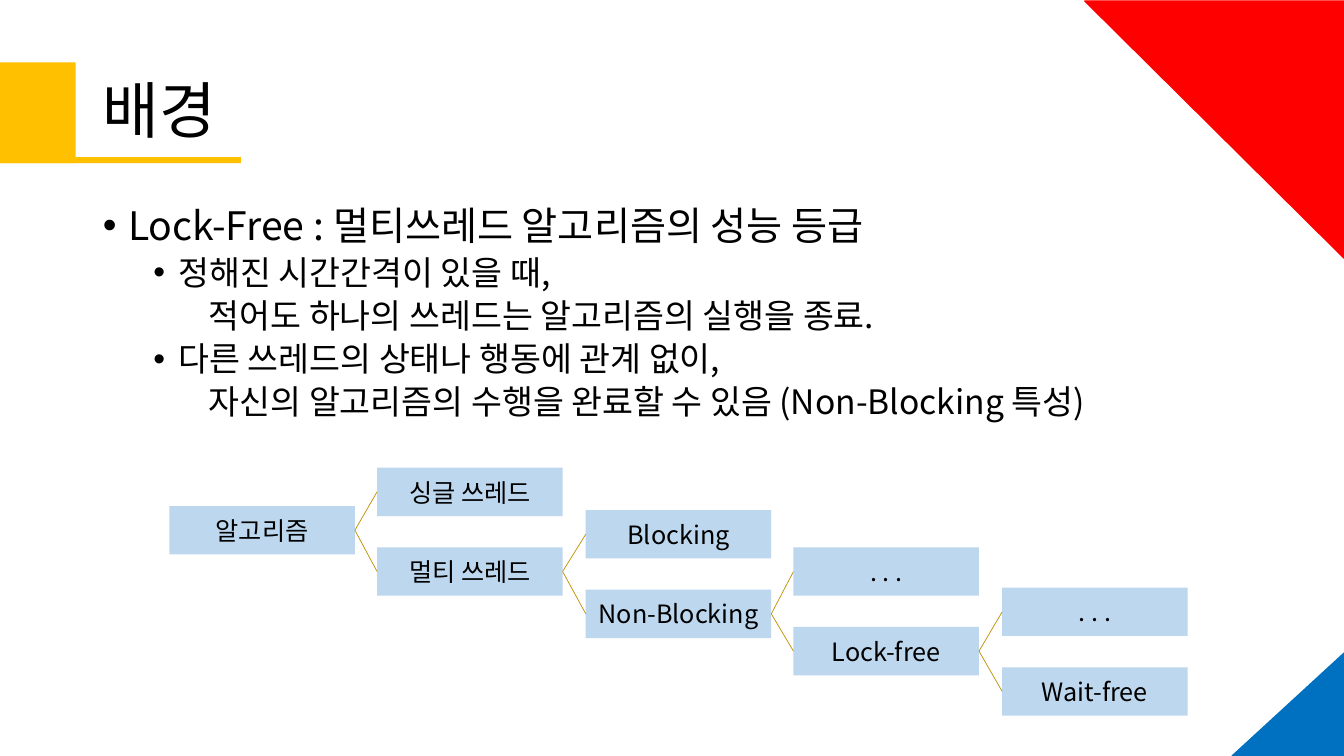
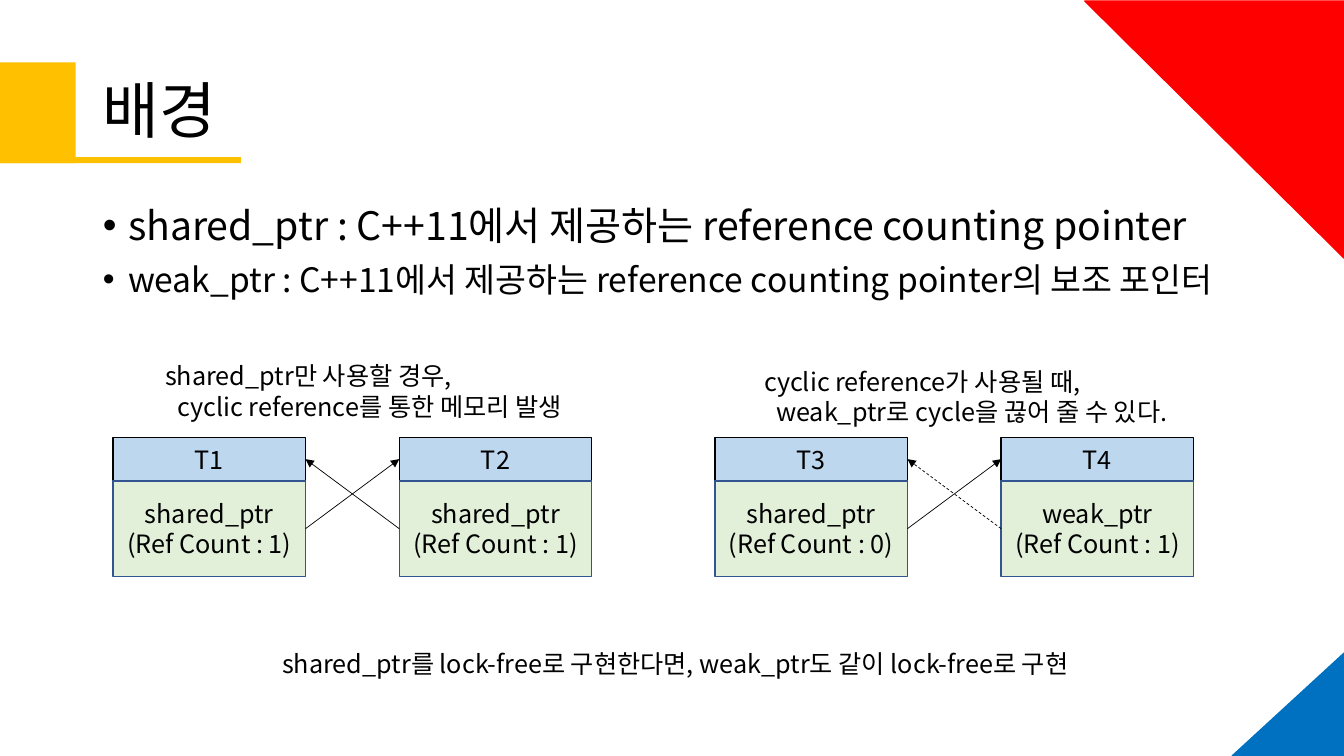
from pptx import Presentation
from pptx.dml.color import RGBColor
from pptx.enum.dml import MSO_LINE
from pptx.enum.shapes import MSO_CONNECTOR, MSO_SHAPE
from pptx.enum.text import MSO_ANCHOR, MSO_AUTO_SIZE, PP_ALIGN
from pptx.oxml.ns import qn
from pptx.util import Pt
from lxml.etree import SubElement

PX = 9144  # EMU per px, 100 px to the inch
FONT = "Noto Sans CJK KR"
BLACK = RGBColor(0x00, 0x00, 0x00)
GOLD = RGBColor(0xFF, 0xC0, 0x00)
BROWN = RGBColor(0xBF, 0x90, 0x00)
RED = RGBColor(0xFF, 0x00, 0x00)
BLUE = RGBColor(0x00, 0x70, 0xC0)
SKY = RGBColor(0xBD, 0xD7, 0xEE)
MINT = RGBColor(0xE2, 0xF0, 0xD9)
NAVY = RGBColor(0x32, 0x54, 0x91)
LEFT, RIGHT = 1, 3  # connection sites of a rectangle


def scale(*lengths):
    return [length * PX for length in lengths]


def style(par, size, align=PP_ALIGN.LEFT):
    par.alignment = align
    for run in par.runs:
        run.font.size = Pt(size)
        run.font.color.rgb = BLACK
        run.font.name = FONT
        SubElement(run.font._element, qn("a:ea")).set("typeface", FONT)


def indent(par, left, hang=0):
    """Set the left edge in px; a hanging indent also gets a bullet."""
    props = par._p.get_or_add_pPr()
    props.set("marL", str(left * PX))
    props.set("indent", str(-hang * PX))
    if hang:
        SubElement(props, qn("a:buChar")).set("char", "•")
    else:
        SubElement(props, qn("a:buNone"))


def place(holder, box):
    holder.left, holder.top, holder.width, holder.height = scale(*box)
    holder.text_frame.auto_size = MSO_AUTO_SIZE.NONE
    return holder.text_frame


def draw(slide, kind, box, fill, line=None):
    shape = slide.shapes.add_shape(kind, *scale(*box))
    shape.shadow.inherit = False
    shape.fill.solid()
    shape.fill.fore_color.rgb = fill
    if line is None:
        shape.line.fill.background()
    else:
        shape.line.color.rgb = line
        shape.line.width = Pt(1)
    return shape


def label(slide, box, text, fill, line=None):
    shape = draw(slide, MSO_SHAPE.RECTANGLE, box, fill, line)
    frame = shape.text_frame
    frame.word_wrap = True
    frame.vertical_anchor = MSO_ANCHOR.MIDDLE
    frame.text = text
    for par in frame.paragraphs:
        style(par, 18, PP_ALIGN.CENTER)
    return shape


def link(slide, start, end, color, arrow=False, dash=False):
    """Join the right side of one box to the left of the next, or back."""
    ahead = start.left < end.left
    line = slide.shapes.add_connector(MSO_CONNECTOR.STRAIGHT, 0, 0, 0, 0)
    line.begin_connect(start, RIGHT if ahead else LEFT)
    line.end_connect(end, LEFT if ahead else RIGHT)
    line.line.color.rgb = color
    line.line.width = Pt(0.5)
    if dash:
        line.line.dash_style = MSO_LINE.DASH
    if arrow:
        SubElement(line.line._ln, qn("a:tailEnd")).set("type", "triangle")
    SubElement(line._element.spPr, qn("a:effectLst"))


def decor(slide):
    for box in ((0, 62, 75, 100), (0, 156, 239, 6)):
        draw(slide, MSO_SHAPE.RECTANGLE, box, GOLD)
    for box, color, turn in (((1222, 648, 111, 102), BLUE, 0),
                             ((1077, 0, 255, 257), RED, 270)):
        corner = draw(slide, MSO_SHAPE.ISOSCELES_TRIANGLE, box, color, color)
        corner.adjustments[0] = 1
        corner.rotation = turn


def page(deck, title, items, width):
    """Add a slide; items hold text, size, left, hang and space before."""
    slide = deck.slides.add_slide(deck.slide_layouts[1])
    frame = place(slide.shapes.title, (92, 40, 1150, 145))
    frame.vertical_anchor = MSO_ANCHOR.MIDDLE
    frame.text = title
    frame.paragraphs[0].line_spacing = 0.9
    style(frame.paragraphs[0], 44)
    frame = place(slide.placeholders[1], (92, 200, width, 476))
    frame.text = "\n".join(item[0] for item in items)
    for par, (_, size, left, hang, space) in zip(frame.paragraphs, items):
        par.level = 1 if left > 25 else 0
        par.line_spacing = 0.9
        par.space_before = Pt(space)
        indent(par, left, hang)
        style(par, size)
    decor(slide)
    return slide


def tree(slide, left, top, root, pairs):
    """Grow each pair of boxes from the lower box of the pair before."""
    wide, high, drop = 184, 48, 79
    stem = label(slide, (left, top, wide, high), root, SKY)
    for col, (shift, *names) in enumerate(pairs, 1):
        x = left + 413 * col // 2
        for row, name in enumerate(names):
            box = (x, top + shift + row * drop, wide, high)
            node = label(slide, box, name, SKY)
            link(slide, stem, node, BROWN)
        stem = node


def cycle(slide, left, top, nodes, dash):
    """Draw two objects, each pointing at the head of the other."""
    heads, bodies = [], []
    for col, (head, body) in enumerate(nodes):
        x = left + 284 * col
        heads.append(label(slide, (x, top, 191, 43), head, SKY, BLACK))
        bodies.append(label(slide, (x, top + 43, 191, 95), body, MINT, NAVY))
    link(slide, bodies[0], heads[1], BLACK, arrow=True)
    link(slide, bodies[1], heads[0], BLACK, arrow=True, dash=dash)


def caption(slide, box, text):
    frame = slide.shapes.add_textbox(*scale(*box)).text_frame
    frame.word_wrap = True
    frame.text = text
    for row, par in enumerate(frame.paragraphs):
        indent(par, 50 + 12 * row)
        style(par, 18)


def algos(deck):
    slide = page(deck, "배경", [
        ("Lock-Free : 멀티쓰레드 알고리즘의 성능 등급", 28, 25, 25, 0),
        ("정해진 시간간격이 있을 때,", 24, 75, 25, 5),
        ("적어도 하나의 쓰레드는 알고리즘의 실행을 종료.", 24, 105, 0, 5),
        ("다른 쓰레드의 상태나 행동에 관계 없이,", 24, 75, 25, 5),
        ("자신의 알고리즘의 수행을 완료할 수 있음 (Non-Blocking 특성)",
         24, 105, 0, 5),
    ], 1150)
    tree(slide, 168, 502, "알고리즘", [
        (-38, "싱글 쓰레드", "멀티 쓰레드"),
        (4, "Blocking", "Non-Blocking"),
        (41, ". . .", "Lock-free"),
        (81, ". . .", "Wait-free"),
    ])


def pointers(deck):
    slide = page(deck, "배경", [
        ("shared_ptr : C++11에서 제공하는 reference counting pointer",
         28, 25, 25, 0),
        ("weak_ptr : C++11에서 제공하는 reference counting pointer의 보조 포인터",
         24, 25, 25, 10),
    ], 1173)
    cycle(slide, 112, 434, [("T1", "shared_ptr\n(Ref Count : 1)"),
                            ("T2", "shared_ptr\n(Ref Count : 1)")], False)
    cycle(slide, 709, 434, [("T3", "shared_ptr\n(Ref Count : 0)"),
                            ("T4", "weak_ptr\n(Ref Count : 1)")], True)
    caption(slide, (104, 353, 520, 71),
            "shared_ptr만 사용할 경우,\ncyclic reference를 통한 메모리 발생")
    caption(slide, (698, 358, 520, 71),
            "cyclic reference가 사용될 때,\nweak_ptr로 cycle을 끊어 줄 수 있다.")
    caption(slide, (220, 638, 893, 71),
            "shared_ptr를 lock-free로 구현한다면, weak_ptr도 같이 lock-free로 구현")


def main():
    deck = Presentation()
    deck.slide_width, deck.slide_height = scale(1333, 750)
    algos(deck)
    pointers(deck)
    deck.save("out.pptx")


if __name__ == "__main__":
    main()
